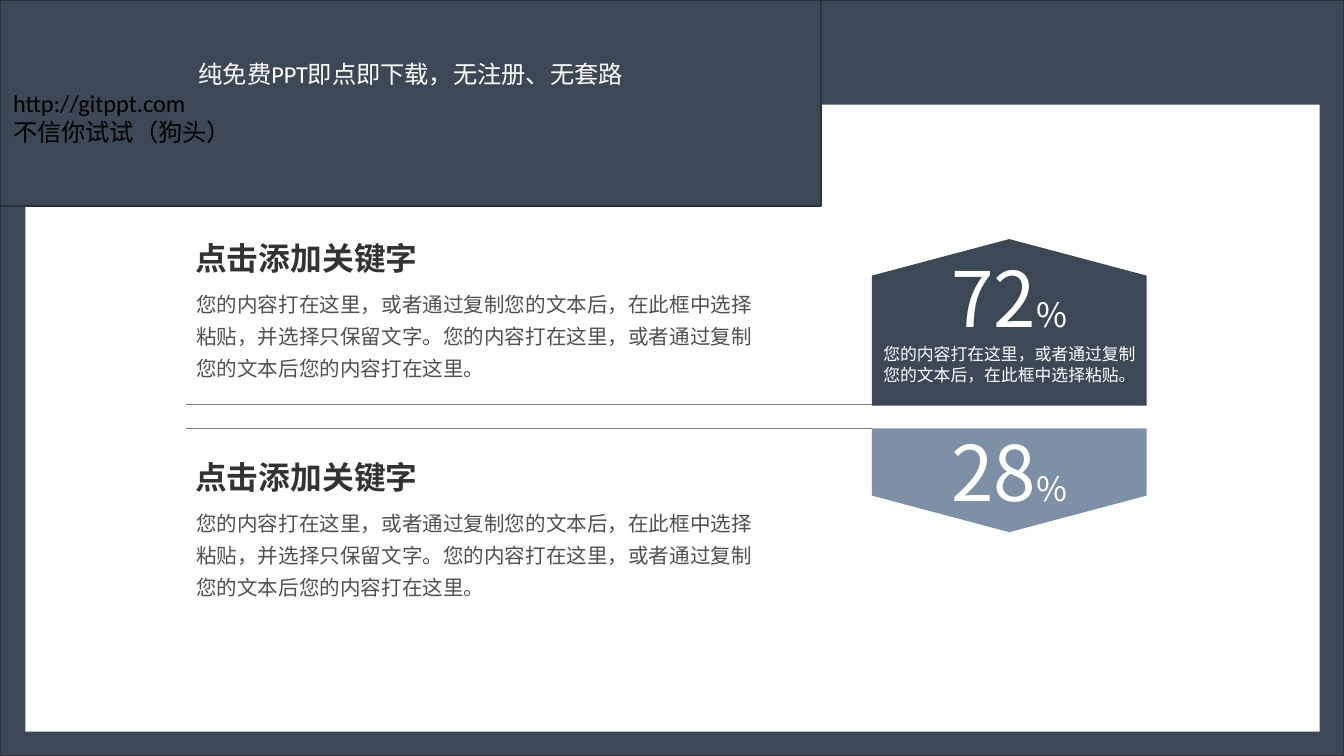
import pptx
import pptx.util
import pptx.dml.color
import pptx.enum.shapes
import pptx.enum.text
import pptx.oxml
import pptx.oxml.ns

Cm = pptx.util.Cm
Pt = pptx.util.Pt
ALIGN = pptx.enum.text.PP_ALIGN
ANCHOR = pptx.enum.text.MSO_ANCHOR

COLORS = {
    "slate": "3C4856",
    "slate_edge": "29323D",
    "steel": "7E90A5",
    "rule": "7F7F7F",
    "heading": "333333",
    "body": "505050",
    "white": "FFFFFF",
    "black": "000000",
}
CJK_FONT = "Noto Sans CJK SC"
HEADING = "点击添加关键字"
BODY = (
    "您的内容打在这里，或者通过复制您的文本后，在此框中选择粘贴，并选择只保留文字。"
    "您的内容打在这里，或者通过复制您的文本后您的内容打在这里。"
)
CAPTION = "您的内容打在这里，或者通过复制您的文本后，在此框中选择粘贴。"


def color(name):
    return pptx.dml.color.RGBColor.from_string(COLORS[name])


def apply_format(target, values):
    for name, value in values.items():
        setattr(target, name, value)


def paint(shape, fill, edge=None):
    shape.shadow.inherit = False
    shape.fill.solid()
    shape.fill.fore_color.rgb = color(fill)
    if edge:
        shape.line.color.rgb = color(edge)
        shape.line.width = Pt(1)
    else:
        shape.line.fill.background()


def add_span(para, text, size, tint, font=CJK_FONT, bold=False):
    span = para.add_run()
    span.text = text
    apply_format(span.font, {"name": font, "size": Pt(size), "bold": bold})
    span.font.color.rgb = color(tint)
    east_asian = pptx.oxml.parse_xml(
        f'<a:ea {pptx.oxml.ns.nsdecls("a")} typeface="{CJK_FONT}"/>'
    )
    span.font._element.find(pptx.oxml.ns.qn("a:latin")).addnext(east_asian)


def set_frame(shape, margins, anchor=ANCHOR.TOP):
    left, top, right, bottom = map(Cm, margins)
    apply_format(shape.text_frame, {
        "margin_left": left,
        "margin_top": top,
        "margin_right": right,
        "margin_bottom": bottom,
        "word_wrap": True,
        "vertical_anchor": anchor,
    })
    return shape.text_frame


def add_paragraph(frame, position, spans, **values):
    para = frame.paragraphs[0] if position == 0 else frame.add_paragraph()
    apply_format(para, values)
    for span in spans:
        add_span(para, *span)


def add_rectangle(page, place, fill, edge=None):
    kind = pptx.enum.shapes.MSO_SHAPE.RECTANGLE
    box = page.shapes.add_shape(kind, *map(Cm, place))
    paint(box, fill, edge)
    return box


def add_percent_arrow(page, base, shoulder, tip, fill, inset, number, caption=None):
    left, right = 16.48, 21.67
    middle = (left + right) / 2
    outline = [(left, shoulder), (middle, tip), (right, shoulder), (right, base)]
    builder = page.shapes.build_freeform(Cm(left), Cm(base))
    builder.add_line_segments([(Cm(x), Cm(y)) for x, y in outline], close=True)
    arrow = builder.convert_to_shape()
    paint(arrow, fill)
    frame = set_frame(arrow, (0.2, inset, 0.2, 0.1))
    rows = [[(number, 41, "white"), ("%", 18, "white")]]
    if caption:
        rows.append([(caption, 9, "white")])
    for position, spans in enumerate(rows):
        add_paragraph(frame, position, spans,
                      alignment=ALIGN.CENTER, line_spacing=Pt(11.2))


def add_rule(page, y):
    straight = pptx.enum.shapes.MSO_CONNECTOR.STRAIGHT
    rule = page.shapes.add_connector(straight, Cm(16.48), Cm(y), Cm(3.51), Cm(y))
    rule.line.color.rgb = color("rule")
    rule.line.width = Pt(0.5)
    rule._element.spPr.append(
        pptx.oxml.parse_xml(f'<a:effectLst {pptx.oxml.ns.nsdecls("a")}/>')
    )


def add_text(page, place, margins, span, **values):
    box = page.shapes.add_textbox(*map(Cm, place))
    frame = set_frame(box, margins)
    frame.auto_size = pptx.enum.text.MSO_AUTO_SIZE.SHAPE_TO_FIT_TEXT
    add_paragraph(frame, 0, [span], **values)


def add_topic(page, top):
    add_text(page, (3.51, top, 5.79, 0.91), (0.18, 0.1, 0.18, 0.1),
             (HEADING, 17, "heading", CJK_FONT, True))
    add_text(page, (3.51, top + 0.86, 10.95, 2.01), (0.2, 0.1, 0.2, 0.1),
             (BODY, 11, "body"), line_spacing=1.3)


def add_banner(page):
    banner = add_rectangle(page, (0, 0, 15.52, 3.89), "slate", "slate_edge")
    frame = set_frame(banner, (0.25, 0.13, 0.25, 0.13), ANCHOR.MIDDLE)
    rows = [
        ("纯免费PPT即点即下载，无注册、无套路", "white", ALIGN.CENTER),
        ("http://gitppt.com", "black", ALIGN.LEFT),
        ("不信你试试（狗头）", "black", ALIGN.LEFT),
    ]
    for position, (text, tint, alignment) in enumerate(rows):
        add_paragraph(frame, position, [(text, 13, tint, "Calibri")],
                      alignment=alignment)


def main():
    deck = pptx.Presentation()
    apply_format(deck, {"slide_width": Cm(25.4), "slide_height": Cm(14.29)})
    page = deck.slides.add_slide(deck.slide_layouts[6])
    add_rectangle(page, (0, 0, 25.4, 14.29), "slate", "slate_edge")
    add_rectangle(page, (0.48, 1.98, 24.46, 11.85), "white")
    add_percent_arrow(page, 7.67, 5.21, 4.52, "slate", 1.57, "72", CAPTION)
    add_percent_arrow(page, 8.1, 9.37, 10.06, "steel", 1.27, "28")
    for y in (7.65, 8.1):
        add_rule(page, y)
    for top in (4.42, 8.56):
        add_topic(page, top)
    add_banner(page)
    deck.save("out.pptx")


if __name__ == "__main__":
    main()
